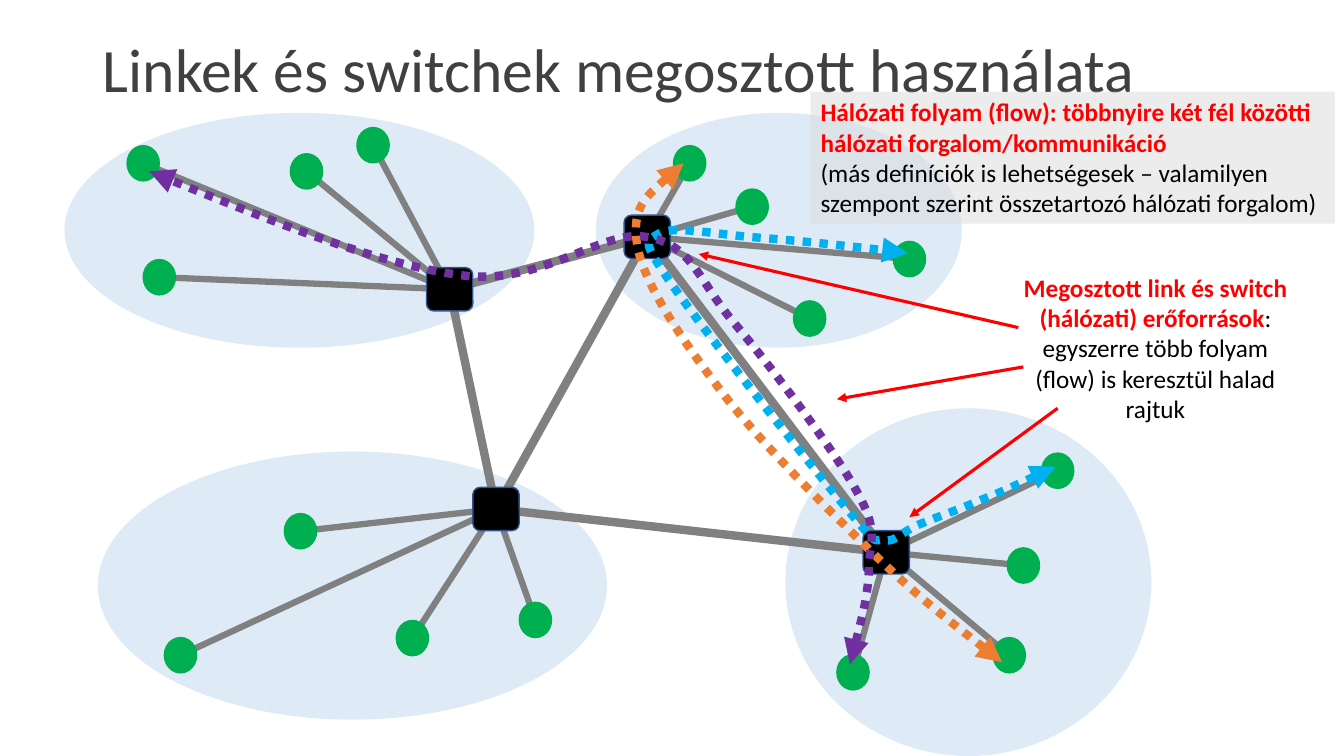
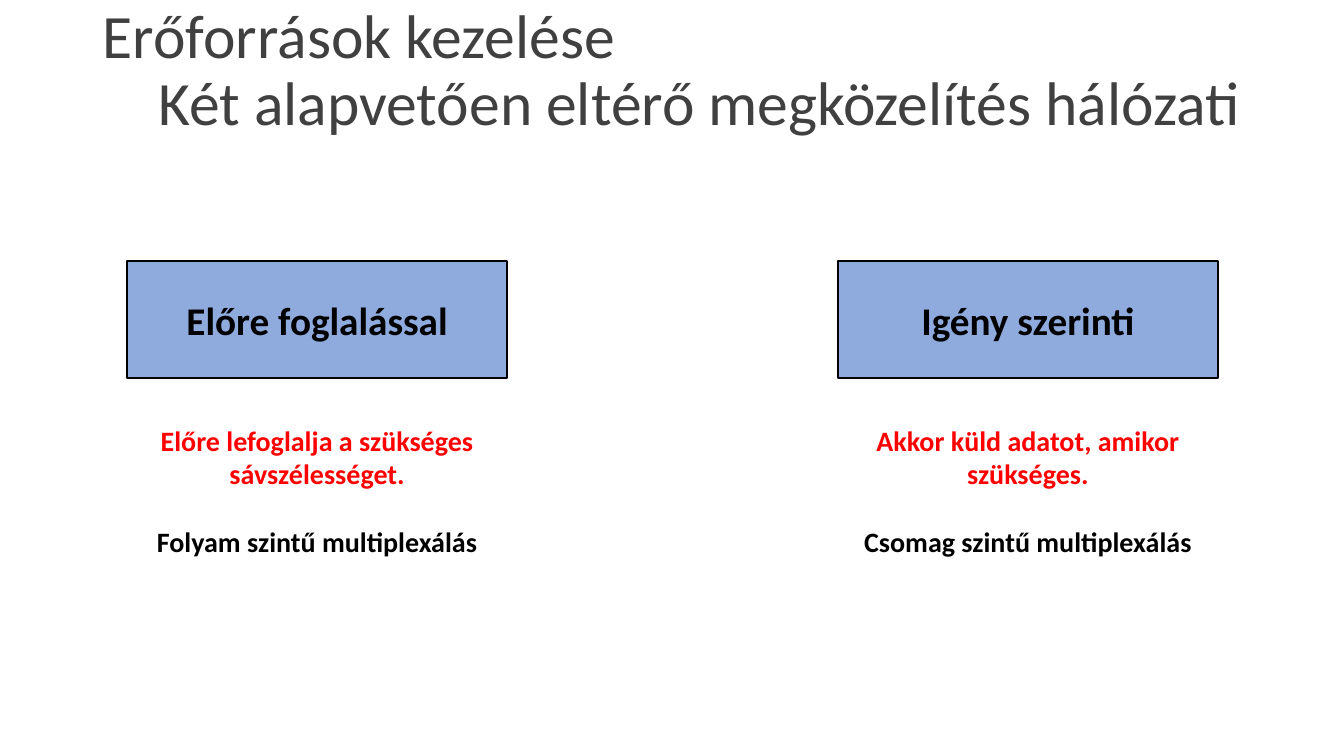
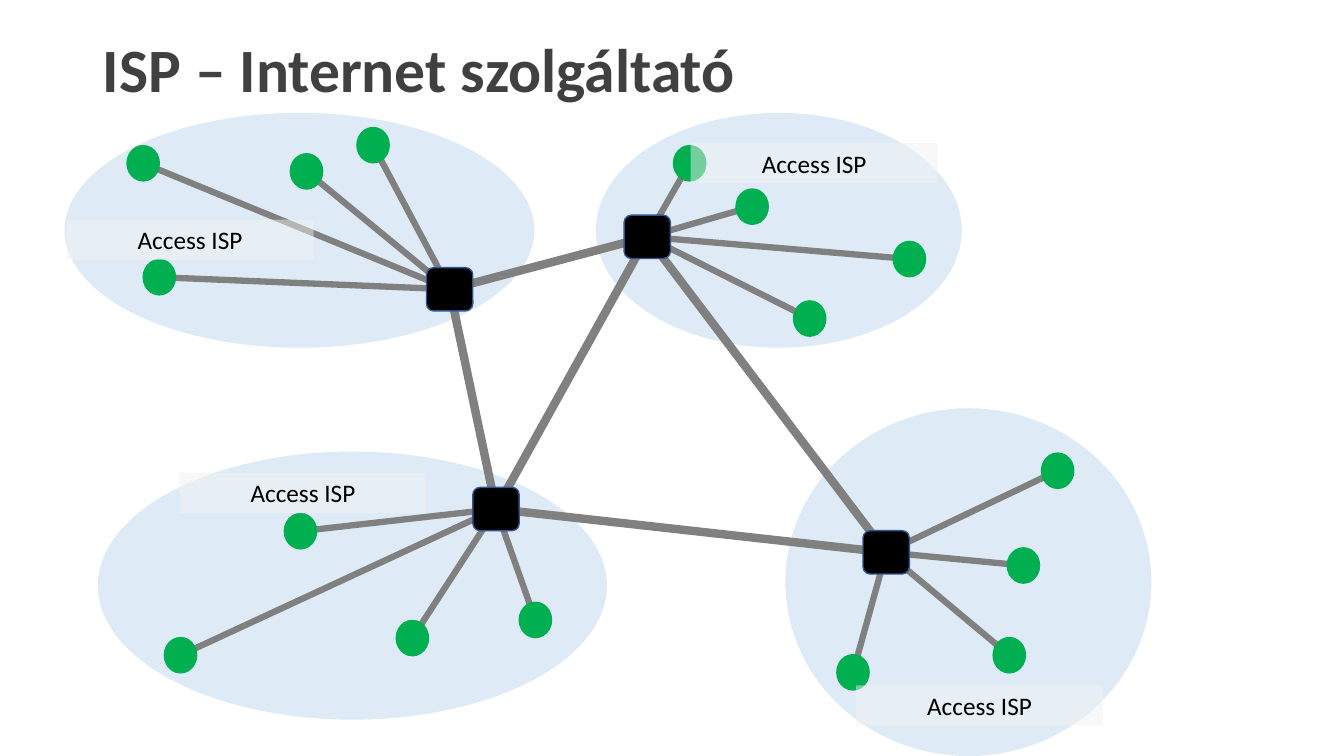
import lxml.etree
import pptx
import pptx.dml.color
import pptx.enum.dml
import pptx.enum.shapes
import pptx.enum.text
import pptx.oxml.ns
import pptx.util

Inches = pptx.util.Inches
Pt = pptx.util.Pt
RGBColor = pptx.dml.color.RGBColor
SHAPE = pptx.enum.shapes.MSO_SHAPE
ALIGN = pptx.enum.text.PP_ALIGN
ANCHOR = pptx.enum.text.MSO_ANCHOR
qn = pptx.oxml.ns.qn

# Shared style
FONT = "Calibri"
BLACK = RGBColor(0x00, 0x00, 0x00)
RED = RGBColor(0xFF, 0x00, 0x00)
TITLE_GRAY = RGBColor(0x40, 0x40, 0x40)
LINK_GRAY = RGBColor(0x80, 0x80, 0x80)
NOTE_GRAY = RGBColor(0xD9, 0xD9, 0xD9)
LABEL_GRAY = RGBColor(0xF2, 0xF2, 0xF2)
AREA_BLUE = RGBColor(0xDE, 0xEB, 0xF7)
SWITCH_BLUE = RGBColor(0x32, 0x54, 0x91)
BOX_BLUE = RGBColor(0x8F, 0xAA, 0xDC)
HOST_GREEN = RGBColor(0x00, 0xB0, 0x50)
ORANGE = RGBColor(0xED, 0x7D, 0x31)
CYAN = RGBColor(0x00, 0xB0, 0xF0)
PURPLE = RGBColor(0x70, 0x30, 0xA0)

TITLE_BOX = (0.92, 0, 11.5, 1.43)
SWITCH_SIZE = (0.46, 0.43)
HOST_SIZE = (0.32, 0.35)
LABEL_SIZE = (2.45, 0.4)

# Network: area box, then centres of the switch and its hosts
NETWORKS = {
    "north west": {"area": (0.64, 1.12, 4.66, 2.33), "switch": (4.46, 2.87),
                   "hosts": [(1.42, 1.62), (1.58, 2.75), (3.04, 1.7), (3.7, 1.44)]},
    "north east": {"area": (5.91, 1.12, 3.63, 2.33), "switch": (6.42, 2.35),
                   "hosts": [(6.84, 1.62), (7.46, 2.05), (9.02, 2.57), (8.03, 3.16)]},
    "south west": {"area": (0.97, 4.48, 5.05, 2.66), "switch": (4.92, 5.05),
                   "hosts": [(2.98, 5.27), (1.79, 6.5), (4.09, 6.33), (5.31, 6.15)]},
    "south east": {"area": (7.79, 4.05, 3.63, 3.45), "switch": (8.79, 5.48),
                   "hosts": [(8.46, 6.67), (10.01, 6.5), (10.15, 5.61), (10.49, 4.67)]},
}
TRUNKS = [("north west", "north east"), ("north west", "south west"),
          ("south west", "north east"), ("south west", "south east"),
          ("north east", "south east")]

# Flows: a start point followed by three points for each curve
FLOWS = [
    (ORANGE, [(9.94, 6.57), (9.52, 6.24), (9.1, 5.92), (8.64, 5.47),
              (8.18, 5.02), (7.55, 4.4), (7.16, 3.89),
              (6.77, 3.38), (6.38, 2.81), (6.32, 2.43),
              (6.26, 2.05), (6.52, 1.84), (6.78, 1.62)]),
    (CYAN, [(10.47, 4.63), (10.21, 4.75), (9.96, 4.87), (9.73, 4.96),
            (9.5, 5.06), (9.26, 5.14), (9.1, 5.21),
            (8.94, 5.28), (8.88, 5.38), (8.77, 5.36),
            (8.65, 5.33), (8.76, 5.48), (8.41, 5.06),
            (8.06, 4.64), (6.98, 3.28), (6.67, 2.83),
            (6.35, 2.37), (6.41, 2.4), (6.53, 2.32),
            (6.66, 2.24), (7.01, 2.31), (7.42, 2.35),
            (7.83, 2.38), (8.42, 2.44), (9, 2.51)]),
    (PURPLE, [(8.43, 6.59), (8.52, 6.25), (8.61, 5.91), (8.62, 5.62),
              (8.63, 5.33), (8.72, 5.27), (8.49, 4.86),
              (8.27, 4.46), (7.62, 3.6), (7.27, 3.19),
              (6.92, 2.77), (6.86, 2.42), (6.41, 2.35),
              (5.96, 2.27), (5.39, 2.84), (4.57, 2.73),
              (3.75, 2.62), (2.61, 2.16), (1.48, 1.7)]),
]
POINTERS = [((10.1, 3.25), (6.93, 2.52)), ((10.15, 3.64), (8.3, 3.96)),
            ((10.49, 4.05), (9.02, 5.13))]

# Texts: paragraphs of (text, colour, bold) runs
SHARED_NOTE = [[("Megosztott link és switch (hálózati) erőforrások", RED, True),
                (": egyszerre több folyam (flow) is keresztül halad rajtuk", BLACK, False)]]
FLOW_NOTE = [
    [("Hálózati folyam (flow): többnyire két fél közötti hálózati forgalom/kommunikáció",
      RED, True)],
    [("(más definíciók is lehetségesek – valamilyen szempont szerint összetartozó "
      "hálózati forgalom)", BLACK, False)],
]
APPROACHES = [
    ("Előre foglalással", "Előre lefoglalja a szükséges sávszélességet.",
     "Folyam szintű multiplexálás"),
    ("Igény szerinti", "Akkor küld adatot, amikor szükséges.",
     "Csomag szintű multiplexálás"),
]
ISP_LABELS = [(0.66, 2.18), (1.78, 4.69), (6.85, 1.42), (8.49, 6.8)]


def inches(values):
    return [Inches(value) for value in values]


def add_slide(presentation, title_lines, bold=False):
    slide = presentation.slides.add_slide(presentation.slide_layouts[5])
    title = slide.shapes.title
    title.left, title.top, title.width, title.height = inches(TITLE_BOX)
    frame = title.text_frame
    frame.text = "\n".join(title_lines)
    frame.auto_size = pptx.enum.text.MSO_AUTO_SIZE.NONE
    frame.vertical_anchor = ANCHOR.MIDDLE
    for paragraph in frame.paragraphs:
        paragraph.alignment = ALIGN.LEFT
        paragraph.line_spacing = 0.9
        paragraph.font.name = FONT
        paragraph.font.size = Pt(44)
        paragraph.font.bold = bold
        paragraph.font.color.rgb = TITLE_GRAY
    return slide


def write_text(shape, paragraphs, size, align=ALIGN.CENTER, anchor=ANCHOR.TOP, gap=0):
    frame = shape.text_frame
    frame.word_wrap = True
    frame.vertical_anchor = anchor
    for index, runs in enumerate(paragraphs):
        paragraph = frame.add_paragraph() if index else frame.paragraphs[0]
        paragraph.alignment = align
        if index and gap:
            paragraph.space_before = Pt(gap)
        paragraph.font.name = FONT
        paragraph.font.size = Pt(size)
        for text, color, bold in runs:
            run = paragraph.add_run()
            run.text = text
            run.font.color.rgb = color
            run.font.bold = bold


def add_shape(slide, kind, box, fill, outline=None, opacity=None):
    shape = slide.shapes.add_shape(kind, *inches(box))
    shape.shadow.inherit = False
    shape.fill.solid()
    shape.fill.fore_color.rgb = fill
    if opacity is not None:
        color = shape._element.spPr.find(qn("a:solidFill"))[0]
        lxml.etree.SubElement(color, qn("a:alpha"), val=str(opacity * 1000))
    if outline is None:
        shape.line.fill.background()
    else:
        shape.line.color.rgb = outline
        shape.line.width = Pt(1)
    return shape


def add_centered(slide, kind, center, size, fill, outline):
    box = (center[0] - size[0] / 2, center[1] - size[1] / 2, *size)
    add_shape(slide, kind, box, fill, outline)


def add_arrowheads(line, *ends):
    for end in ends:
        lxml.etree.SubElement(line._get_or_add_ln(), qn("a:" + end), type="triangle")


def add_line(slide, start, end, color, width):
    connector = slide.shapes.add_connector(
        pptx.enum.shapes.MSO_CONNECTOR.STRAIGHT, *inches(start + end))
    connector.line.color.rgb = color
    connector.line.width = Pt(width)
    lxml.etree.SubElement(connector._element.spPr, qn("a:effectLst"))
    return connector


def add_flow(slide, color, points):
    start, *others = [inches(point) for point in points]
    builder = slide.shapes.build_freeform(*start)
    builder.add_line_segments(others, close=False)
    shape = builder.convert_to_shape()
    # Merge every three straight segments into one cubic curve
    outline = next(shape._element.iter(qn("a:path")))
    segments = outline.findall(qn("a:lnTo"))
    for first in range(0, len(segments), 3):
        curve = lxml.etree.SubElement(outline, qn("a:cubicBezTo"))
        for segment in segments[first:first + 3]:
            curve.append(segment[0])
            outline.remove(segment)
    shape.shadow.inherit = False
    shape.fill.background()
    shape.line.color.rgb = color
    shape.line.width = Pt(6)
    shape.line.dash_style = pptx.enum.dml.MSO_LINE.ROUND_DOT
    add_arrowheads(shape.line, "headEnd", "tailEnd")


def draw_network(slide):
    networks = NETWORKS.values()
    for network in networks:
        add_shape(slide, SHAPE.OVAL, network["area"], AREA_BLUE)
    for start, end in TRUNKS:
        add_line(slide, NETWORKS[start]["switch"], NETWORKS[end]["switch"], LINK_GRAY, 6)
    for network in networks:
        for host in network["hosts"]:
            add_line(slide, host, network["switch"], LINK_GRAY, 4.5)
    for network in networks:
        add_centered(slide, SHAPE.ROUNDED_RECTANGLE, network["switch"], SWITCH_SIZE,
                     BLACK, SWITCH_BLUE)
        for host in network["hosts"]:
            add_centered(slide, SHAPE.OVAL, host, HOST_SIZE, HOST_GREEN, HOST_GREEN)


def build_shared_use(presentation):
    slide = add_slide(presentation, ["Linkek és switchek megosztott használata"])
    draw_network(slide)
    for color, points in FLOWS:
        add_flow(slide, color, points)
    for start, end in POINTERS:
        add_arrowheads(add_line(slide, start, end, RED, 2.25).line, "tailEnd")
    note = slide.shapes.add_textbox(*inches((9.98, 2.65, 2.96, 1.62)))
    write_text(note, SHARED_NOTE, 18)
    note = add_shape(slide, SHAPE.RECTANGLE, (8.04, 0.91, 5.2, 1.31), NOTE_GRAY, opacity=49)
    write_text(note, FLOW_NOTE, 18, ALIGN.LEFT)


def build_approaches(presentation):
    slide = add_slide(presentation, ["Erőforrások kezelése",
                                     "Két alapvetően eltérő megközelítés hálózati"])
    subtitle = slide.shapes.title.text_frame.paragraphs[1]
    subtitle._p.get_or_add_pPr().set("marL", str(Inches(0.55)))
    for column, (name, summary, method) in enumerate(APPROACHES):
        left = 1.26 + column * 7.05
        box = add_shape(slide, SHAPE.RECTANGLE, (left, 2.59, 3.77, 1.16), BOX_BLUE, BLACK)
        write_text(box, [[(name, BLACK, True)]], 28, anchor=ANCHOR.MIDDLE)
        details = slide.shapes.add_textbox(*inches((left, 4.15, 3.77, 1.45)))
        write_text(details, [[(summary, RED, True)], [(method, BLACK, True)]], 20, gap=24)


def build_providers(presentation):
    slide = add_slide(presentation, ["ISP – Internet szolgáltató"], bold=True)
    draw_network(slide)
    for corner in ISP_LABELS:
        label = add_shape(slide, SHAPE.RECTANGLE, corner + LABEL_SIZE, LABEL_GRAY, opacity=48)
        write_text(label, [[("Access ISP", BLACK, False)]], 18)


def main():
    presentation = pptx.Presentation()
    presentation.slide_width = Inches(13.33)
    presentation.slide_height = Inches(7.5)
    build_shared_use(presentation)
    build_approaches(presentation)
    build_providers(presentation)
    presentation.save("out.pptx")


if __name__ == "__main__":
    main()
